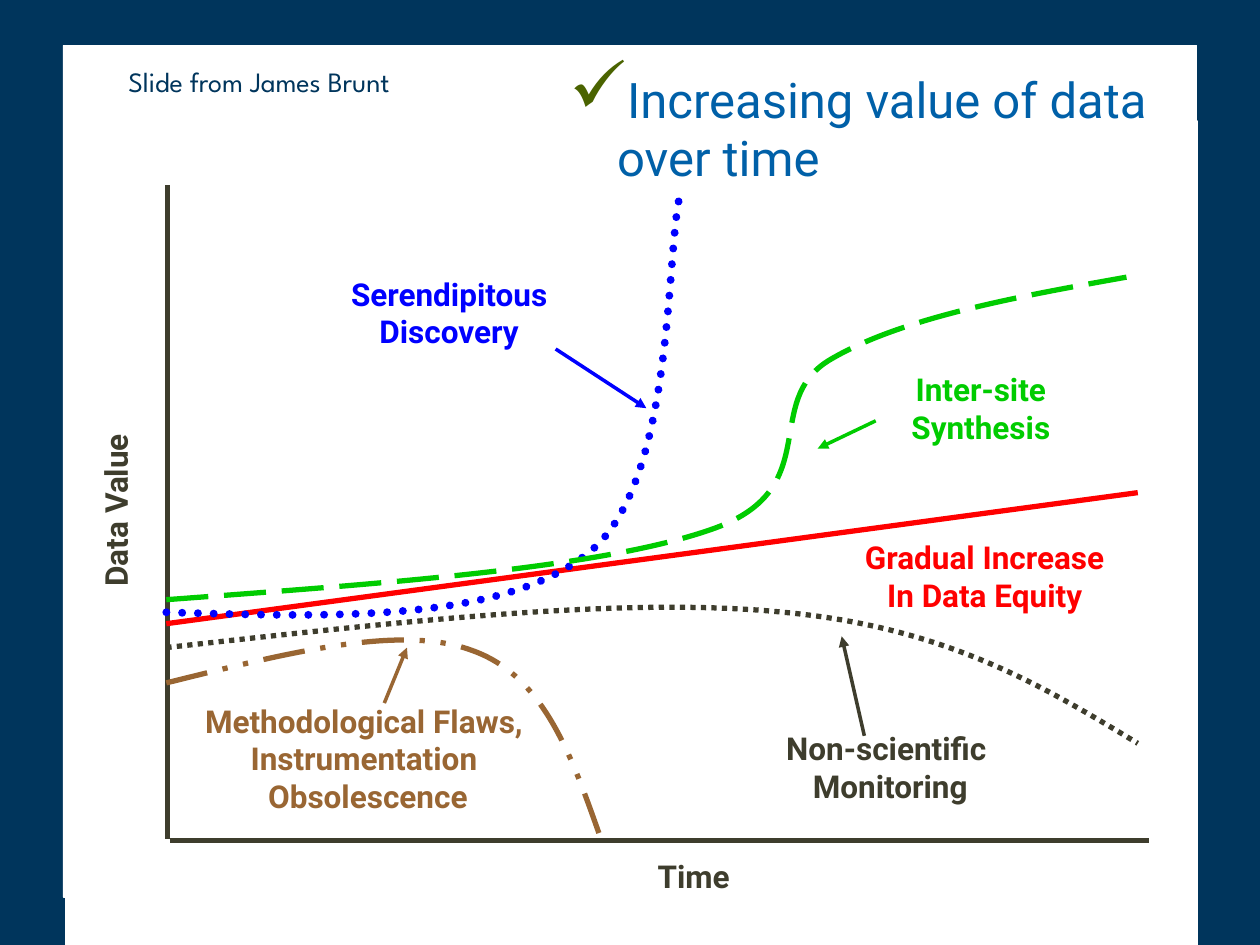
"""Build a slide of curves showing how the value of data changes over time."""
import pptx
import pptx.dml.color
import pptx.enum.dml
import pptx.enum.shapes
import pptx.enum.text
import pptx.oxml
import pptx.oxml.ns
import pptx.util
from lxml import etree

Inches = pptx.util.Inches
Pt = pptx.util.Pt
Dash = pptx.enum.dml.MSO_LINE
Align = pptx.enum.text.PP_ALIGN
qn = pptx.oxml.ns.qn

THEME = {
    "colors": {
        "navy": "00355C", "white": "FFFFFF", "ink": "3E3D2D", "title": "0060A8",
        "check": "4A6300", "blue": "0000FF", "green": "00CC00", "red": "FF0000",
        "brown": "996633",
    },
    "title": {"name": "Roboto", "size": Pt(28)},
    "label": {"name": "Roboto", "size": Pt(18), "bold": True},
    "credit": {"name": "League Spartan", "size": Pt(16)},
    "axis": 3, "arrow": 2, "curve": 3, "dots": 4.5,
}

PANELS = [((0.5, 0.36, 9, 6.76), 0.5), ((0.52, 0.96, 8.98, 6.54), 1)]
AXES = [((1.33, 1.47), (1.33, 6.66)), ((1.35, 6.67), (9.12, 6.67))]
TREND = ((1.32, 4.95), (9.03, 3.91))

ARROWS = [
    ("green", (6.95, 3.34), (6.49, 3.56)),
    ("brown", (3.05, 5.58), (3.23, 5.14)),
    ("ink", (6.86, 5.84), (6.68, 5.05)),
    ("blue", (4.41, 2.77), (5.13, 3.24)),
]

CURVES = [
    ("blue", "dots", Dash.ROUND_DOT, "rnd",
     [(1.32, 4.86), (2.66, 4.9), (4, 4.94), (4.68, 4.38),
      (5.36, 3.83), (5.28, 2.01), (5.4, 1.53)]),
    ("green", "curve", Dash.LONG_DASH, "flat",
     [(1.32, 4.76), (3.06, 4.63), (4.8, 4.51), (5.68, 4.19), (6.55, 3.87),
      (6.04, 3.19), (6.58, 2.86), (7.13, 2.53), (8.04, 2.36), (8.94, 2.2)]),
    ("brown", "curve", Dash.DASH_DOT_DOT, "flat",
     [(1.32, 5.42), (2.25, 5.19), (3.17, 4.95), (3.74, 5.16),
      (4.32, 5.36), (4.54, 6.01), (4.77, 6.66)]),
    ("ink", "curve", Dash.ROUND_DOT, "flat",
     [(1.32, 5.14), (3.13, 4.94), (4.94, 4.73), (6.22, 4.86),
      (7.51, 4.98), (8.27, 5.44), (9.03, 5.9)]),
]

LABELS = [
    ("blue", (2.51, 2.13, 2.11, 0.8), ["Serendipitous", "Discovery"]),
    ("green", (7.02, 2.89, 1.53, 0.8), ["Inter-site", "Synthesis"]),
    ("red", (6.53, 4.22, 2.57, 0.8), ["Gradual Increase", "In Data Equity"]),
    ("brown", (1.25, 5.52, 3.34, 1.14),
     ["Methodological Flaws, ", "Instrumentation ", "Obsolescence"]),
    ("ink", (5.97, 5.74, 2.19, 0.8), ["Non-scientific ", "Monitoring"]),
    ("ink", (4.7, 6.75, 1.61, 0.57), ["Time"]),
]
VERTICAL_LABEL = ("ink", (-1.21, 3.78, 4.39, 0.54), ["Data Value"])
TITLE = ("title", (4.42, 0.5, 5.08, 0.96), ["Increasing value of data over time"])
CREDIT = ("navy", (0.92, 0.46, 2.71, 0.37), ["Slide from James Brunt"])


def color(name):
    """Return a theme colour."""
    return pptx.dml.color.RGBColor.from_string(THEME["colors"][name])


def apply(target, values):
    """Set every attribute in a dict of format values."""
    for name, value in values.items():
        setattr(target, name, value)


def add_panel(page, frame, weight):
    """Add one white background panel."""
    box = page.shapes.add_shape(
        pptx.enum.shapes.MSO_SHAPE.RECTANGLE, *map(Inches, frame))
    box.shadow.inherit = False
    box.fill.solid()
    box.fill.fore_color.rgb = color("white")
    box.line.color.rgb = color("white")
    box.line.width = Pt(weight)


def add_line(page, tint, weight, start, end, arrow=False):
    """Add a straight line, with an arrowhead at its end if asked."""
    line = page.shapes.add_connector(
        pptx.enum.shapes.MSO_CONNECTOR.STRAIGHT, *map(Inches, start + end))
    line.line.color.rgb = color(tint)
    line.line.width = Pt(THEME[weight])
    properties = line._element.spPr
    if arrow:
        etree.SubElement(properties.find(qn("a:ln")), qn("a:tailEnd"), type="triangle")
    etree.SubElement(properties, qn("a:effectLst"))


def add_curve(page, tint, weight, dash, cap, points):
    """Add an open chain of cubic curves through groups of three points."""
    start, *rest = [tuple(map(Inches, point)) for point in points]
    builder = page.shapes.build_freeform(*start)
    builder.add_line_segments(rest, close=False)
    curve = builder.convert_to_shape()
    curve.shadow.inherit = False
    curve.fill.background()
    curve.line.color.rgb = color(tint)
    apply(curve.line, {"width": Pt(THEME[weight]), "dash_style": dash})
    curve._element.spPr.find(qn("a:ln")).set("cap", cap)
    segments = list(curve._element.iter(qn("a:lnTo")))
    outline = segments[0].getparent()
    for first in range(0, len(segments), 3):
        cubic = etree.SubElement(outline, qn("a:cubicBezTo"))
        for segment in segments[first:first + 3]:
            cubic.append(segment[0])
            outline.remove(segment)


def add_text(page, style, tint, frame, lines, align=Align.CENTER, wrap=False):
    """Add a text box with one paragraph per line."""
    box = page.shapes.add_textbox(*map(Inches, frame))
    box.text_frame.word_wrap = wrap
    box.text_frame.text = "\n".join(lines)
    for para in box.text_frame.paragraphs:
        para.alignment = align
        for span in para.runs:
            apply(span.font, THEME[style])
            span.font.color.rgb = color(tint)
    return box


def add_check_bullet(para):
    """Give a paragraph a hanging check mark."""
    para.space_before = Pt(5.6)
    properties = para._p.get_or_add_pPr()
    properties.set("marL", str(Inches(0.38)))
    properties.set("indent", str(-Inches(0.38)))
    tint = etree.SubElement(properties, qn("a:buClr"))
    etree.SubElement(tint, qn("a:srgbClr"), val=THEME["colors"]["check"])
    etree.SubElement(properties, qn("a:buSzPct"), val="150000")
    etree.SubElement(properties, qn("a:buChar"), char="✓")


def main():
    """Build and save the deck."""
    deck = pptx.Presentation()
    apply(deck, {"slide_width": Inches(10), "slide_height": Inches(7.5)})
    page = deck.slides.add_slide(deck.slide_layouts[6])
    page.background.fill.solid()
    page.background.fill.fore_color.rgb = color("navy")

    for frame, weight in PANELS:
        add_panel(page, frame, weight)
    for start, end in AXES:
        add_line(page, "ink", "axis", start, end)
    add_line(page, "red", "curve", *TREND)
    for curve in CURVES:
        add_curve(page, *curve)
    for tint, start, end in ARROWS:
        add_line(page, tint, "arrow", start, end, arrow=True)

    for label in LABELS:
        add_text(page, "label", *label)
    add_text(page, "label", *VERTICAL_LABEL, wrap=True).rotation = 270
    title = add_text(page, "title", *TITLE, align=Align.LEFT, wrap=True)
    add_check_bullet(title.text_frame.paragraphs[0])
    add_text(page, "credit", *CREDIT, align=Align.LEFT)
    deck.save("out.pptx")


if __name__ == "__main__":
    main()
